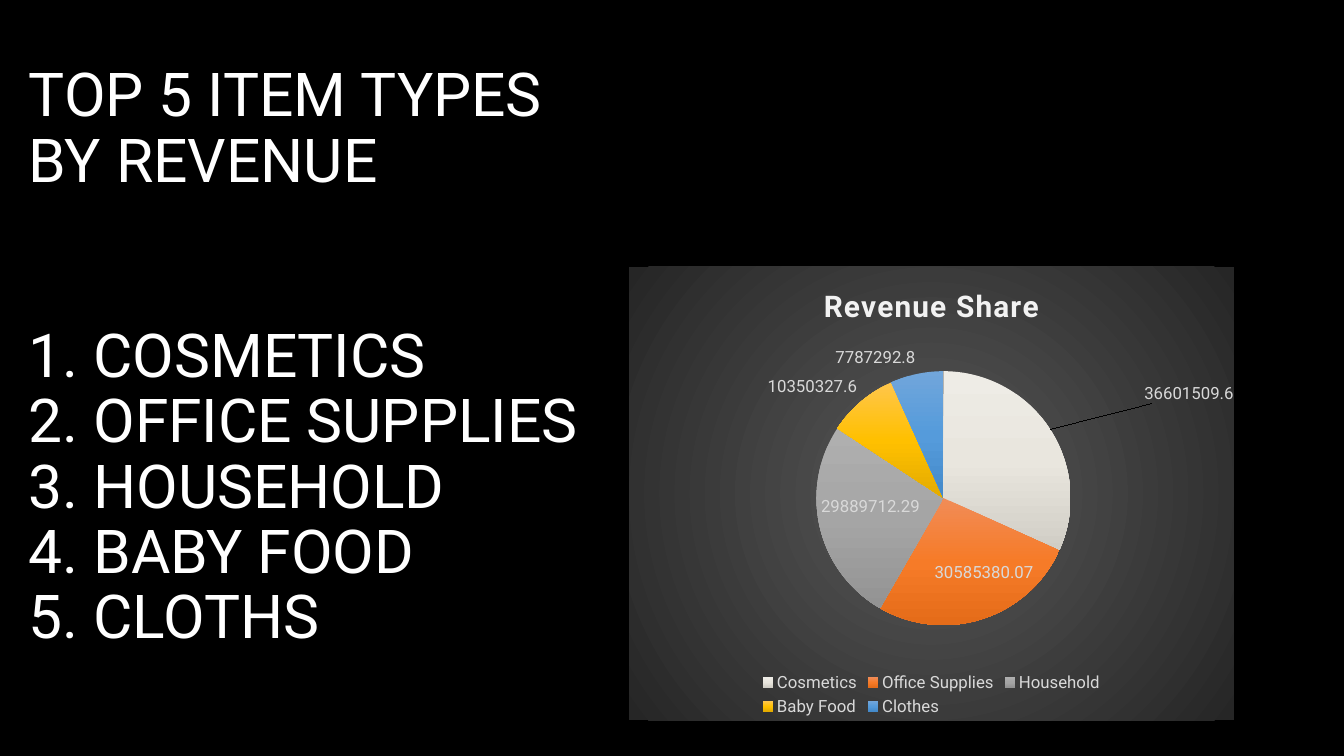
"""Build the slide that ranks item types by revenue."""
from dataclasses import dataclass

from lxml import etree
from pptx import Presentation
from pptx.chart.data import CategoryChartData
from pptx.dml.color import RGBColor
from pptx.enum.chart import XL_CHART_TYPE, XL_LABEL_POSITION, XL_LEGEND_POSITION
from pptx.enum.text import MSO_ANCHOR, MSO_AUTO_SIZE, PP_ALIGN
from pptx.oxml import parse_xml
from pptx.oxml.ns import nsdecls, qn
from pptx.util import Inches, Pt

PIE = XL_CHART_TYPE.PIE
BEST = XL_LABEL_POSITION.BEST_FIT
BELOW = XL_LEGEND_POSITION.BOTTOM
BOTTOM = MSO_ANCHOR.BOTTOM
LEFT = PP_ALIGN.LEFT
FIXED = MSO_AUTO_SIZE.NONE

WIDE, HIGH = Inches(13.33), Inches(7.5)
INDENT = Inches(0.64)


@dataclass(frozen=True)
class Theme:
    face: str = "Roboto"
    back: str = "000000"
    text: str = "FFFFFF"
    head: str = "F2F2F2"
    label: str = "D9D9D9"
    big: float = 43.2
    mid: float = 21.3
    small: float = 12
    panel: tuple = ("595959", "262626")
    slices: tuple = (
        ("EEECE6", "E9E6DE", "D0CDC5"),
        ("F18C57", "F67B28", "E56C19"),
        ("AFAFAF", "A5A5A5", "939393"),
        ("FFC64B", "FFC000", "E3AB00"),
        ("71A6DB", "559BDB", "448ACA"),
    )


THEME = Theme()
ITEMS = ["COSMETICS", "OFFICE SUPPLIES", "HOUSEHOLD", "BABY FOOD", "CLOTHS"]
SALES = {
    "Cosmetics": 36601509.6,
    "Office Supplies": 30585380.07,
    "Household": 29889712.29,
    "Baby Food": 10350327.6,
    "Clothes": 7787292.8,
}


def area(x, y, w, h):
    return int(x * WIDE), int(y * HIGH), int(w * WIDE), int(h * HIGH)


def style(font, size, color, bold=False):
    font.name, font.size, font.bold = THEME.face, Pt(size), bold
    font.color.rgb = RGBColor.from_string(color)


def fill_text(holder, box, lines):
    holder.left, holder.top, holder.width, holder.height = area(*box)
    frame = holder.text_frame
    frame.text = "\n".join(lines)
    frame.word_wrap, frame.auto_size = True, FIXED
    frame.vertical_anchor = BOTTOM
    for para in frame.paragraphs:
        para.alignment, para.line_spacing = LEFT, 0.9
        para.space_before = Pt(0)
        for run in para.runs:
            style(run.font, THEME.big, THEME.text)
    return frame


def number(frame):
    for para in frame.paragraphs:
        props = para._p.get_or_add_pPr()
        props.set("marL", str(INDENT))
        props.set("indent", str(-INDENT))
        etree.SubElement(props, qn("a:buFont")).set("typeface", THEME.face)
        etree.SubElement(props, qn("a:buAutoNum")).set("type", "arabicPeriod")


def blend(colors, shade):
    step = 100000 // (len(colors) - 1)
    stops = "".join(
        f'<a:gs pos="{i * step}"><a:srgbClr val="{c}"/></a:gs>'
        for i, c in enumerate(colors))
    return parse_xml(f'<a:gradFill {nsdecls("a")} rotWithShape="1">'
                     f'<a:gsLst>{stops}</a:gsLst>{shade}</a:gradFill>')


def layout(modes, **spots):
    parts = "".join(f'<c:{k} val="{v}"/>' for k, v in spots.items())
    return parse_xml(f'<c:layout {nsdecls("c")}><c:manualLayout>'
                     f'{modes}{parts}</c:manualLayout></c:layout>')


def paint_panel(root):
    props = parse_xml(f'<c:spPr {nsdecls("c", "a")}><a:ln><a:noFill/></a:ln></c:spPr>')
    sides = 'l="50000" t="50000" r="50000" b="50000"'
    glow = f'<a:path path="circle"><a:fillToRect {sides}/></a:path>'
    props.insert(0, blend(THEME.panel, glow))
    root.find(qn("c:chart")).addnext(props)


def paint_slices(root, series):
    for i in range(len(THEME.slices)):
        series.points[i].format.line.fill.background()
    for point, colors in zip(root.iter(qn("c:dPt")), THEME.slices):
        point.find(qn("c:spPr")).insert(0, blend(colors, '<a:lin ang="5400000" scaled="0"/>'))


def add_labels(root, series):
    labels = series.data_labels
    labels.show_value = True
    first = series.points[0].data_label
    for item in (labels, first):
        item.position = BEST
        style(item.font, THEME.small, THEME.label)
    mark = next(root.iter(qn("c:dLbl")))
    mark.find(qn("c:idx")).addnext(layout("", x=0.16, y=-0.05))


def add_title(chart, text):
    chart.has_title = True
    frame = chart.chart_title.text_frame
    frame.text = text
    run = frame.paragraphs[0].runs[0]
    style(run.font, THEME.mid, THEME.head, True)
    run._r.get_or_add_rPr().set("spc", "100")


def add_pie(slide, box, name, sales):
    data = CategoryChartData()
    data.categories = list(sales)
    data.add_series(name, list(sales.values()))
    chart = slide.shapes.add_chart(PIE, *area(*box), data).chart
    root, series = chart.element, chart.plots[0].series[0]
    style(chart.font, 10, THEME.back)
    chart.plots[0].vary_by_categories = True
    add_title(chart, name)
    chart.has_legend = True
    chart.legend.position, chart.legend.include_in_layout = BELOW, False
    style(chart.legend.font, THEME.small, THEME.label)
    paint_panel(root)
    paint_slices(root, series)
    add_labels(root, series)
    plot = next(root.iter(qn("c:plotArea")))
    for old in plot.findall(qn("c:layout")):
        plot.remove(old)
    modes = '<c:layoutTarget val="inner"/><c:xMode val="edge"/><c:yMode val="edge"/>'
    plot.insert(0, layout(modes, x=0.31, y=0.23, w=0.42, h=0.56))


def main():
    deck = Presentation()
    deck.slide_width, deck.slide_height = WIDE, HIGH
    slide = deck.slides.add_slide(deck.slide_layouts[1])
    ground = slide.background.fill
    ground.solid()
    ground.fore_color.rgb = RGBColor.from_string(THEME.back)
    fill_text(slide.shapes.title, (0.014, 0.078, 0.45, 0.187),
              ["TOP 5 ITEM TYPES BY REVENUE"])
    number(fill_text(slide.placeholders[1], (0.014, 0.424, 0.45, 0.445), ITEMS))
    add_pie(slide, (0.468, 0.353, 0.45, 0.6), "Revenue Share", SALES)
    deck.save("out.pptx")


if __name__ == "__main__":
    main()
